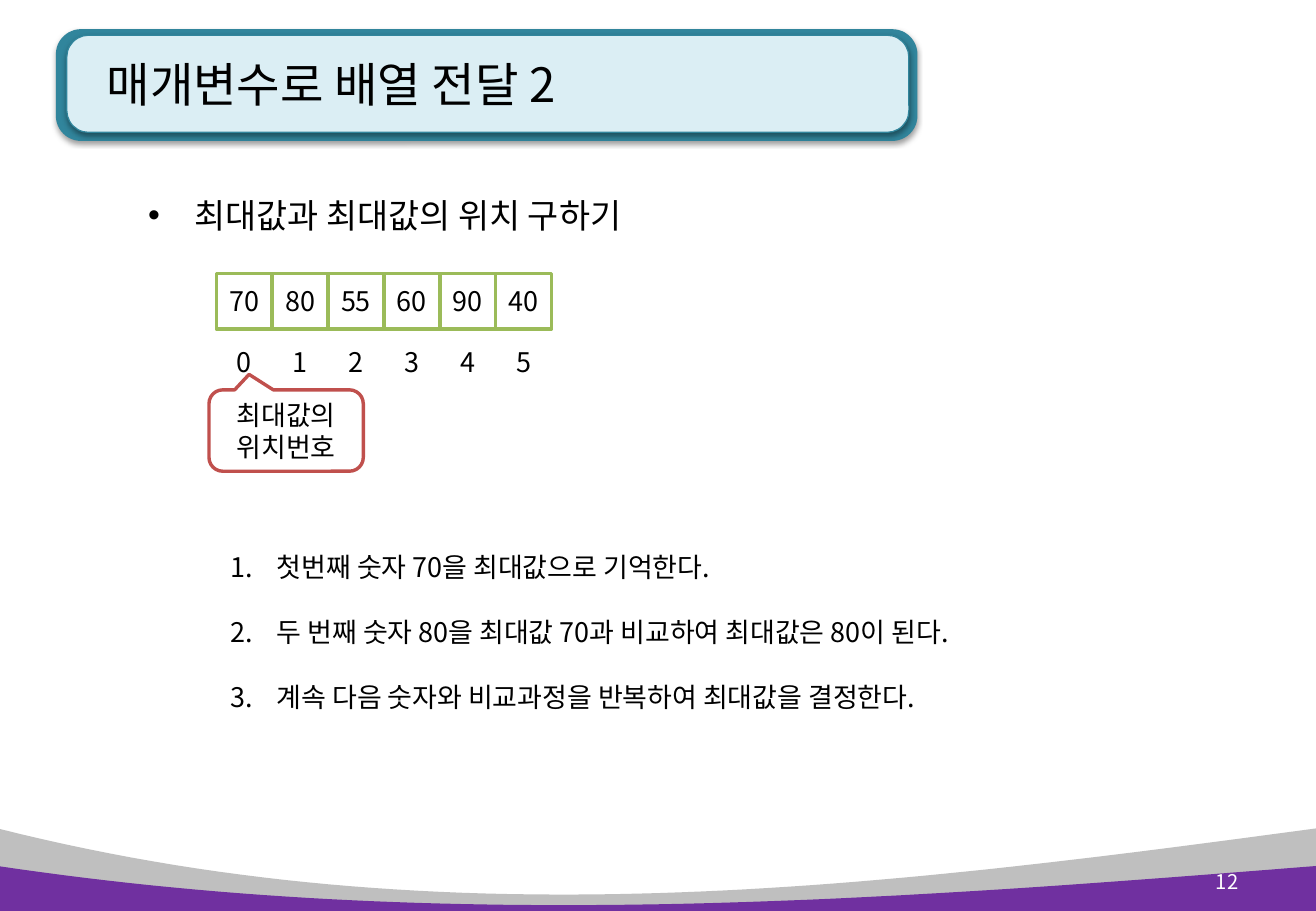
from dataclasses import dataclass

from lxml.etree import SubElement
from pptx import Presentation
from pptx.dml.color import RGBColor
from pptx.enum.shapes import MSO_SHAPE as SHAPE
from pptx.enum.text import MSO_ANCHOR as ANCHOR, PP_ALIGN as ALIGN
from pptx.oxml.ns import qn
from pptx.util import Emu, Pt

PX = 9144  # EMU in one px, 100 px to the inch
WIDTH, HEIGHT = 1083, 750


@dataclass(frozen=True)
class Theme:
    font: str = "Noto Sans CJK KR"
    text: str = "000000"
    white: str = "FFFFFF"
    gray: str = "BFBFBF"
    purple: str = "7030A0"
    teal: str = "31859C"
    pale_teal: str = "DBEEF4"
    green: str = "9BBB59"
    red: str = "C0504D"
    title_pt: int = 28
    heading_pt: int = 20
    body_pt: int = 16
    number_pt: int = 12


THEME = Theme()


def px(*values):
    return [Emu(round(v * PX)) for v in values]


def rgb(color):
    return RGBColor.from_string(color)


def paint(s, fill, line=None, line_pt=2):
    s.shadow.inherit = False
    s.fill.solid()
    s.fill.fore_color.rgb = rgb(fill)
    if line:
        s.line.color.rgb = rgb(line)
        s.line.width = Pt(line_pt)
    else:
        s.line.fill.background()


def add_bullet(p, bullet):
    """Hang the paragraph on a bullet character, or number it if bullet is "1."."""
    pPr = p._p.get_or_add_pPr()
    indent, = px(38)
    pPr.set("marL", str(indent))
    pPr.set("indent", str(-indent))
    if bullet == "1.":
        SubElement(pPr, qn("a:buFont"), typeface=THEME.font)
        SubElement(pPr, qn("a:buAutoNum"), type="arabicPeriod")
    else:
        SubElement(pPr, qn("a:buFont"), typeface="Arial")
        SubElement(pPr, qn("a:buChar"), char=bullet)


def write(s, *lines, size=THEME.body_pt, color=THEME.text, align=ALIGN.LEFT,
          anchor=ANCHOR.MIDDLE, spacing=None, bullet=None):
    tf = s.text_frame
    tf.word_wrap = True
    tf.vertical_anchor = anchor
    for i, line in enumerate(lines):
        p = tf.add_paragraph() if i else tf.paragraphs[0]
        p.alignment = align
        if spacing:
            p.line_spacing = spacing
        if bullet:
            add_bullet(p, bullet)
        r = p.add_run()
        r.text = line
        r.font.size = Pt(size)
        r.font.name = THEME.font
        r.font.color.rgb = rgb(color)
        SubElement(r._r.get_or_add_rPr(), qn("a:ea"), typeface=THEME.font)


def add_text(slide, box, *lines, **fmt):
    write(slide.shapes.add_textbox(*px(*box)), *lines, **fmt)


def add_box(slide, kind, box, fill, line=None, line_pt=2, adj=()):
    s = slide.shapes.add_shape(kind, *px(*box))
    paint(s, fill, line, line_pt)
    for i, value in enumerate(adj):
        s.adjustments[i] = value
    return s


def add_shadow(s):
    effects = s._element.spPr.find(qn("a:effectLst"))
    shadow = SubElement(effects, qn("a:outerShdw"), blurRad=str(Pt(3.1)),
                        dist=str(Pt(1.6)), dir="5400000", rotWithShape="0")
    color = SubElement(shadow, qn("a:srgbClr"), val="000000")
    SubElement(color, qn("a:alpha"), val="38000")


def add_wave(slide, edge_y, dip_ys, fill, steps=60):
    """Fill the slide below a Bezier curve with both ends at edge_y."""
    xs, ys = (-2, 365, 720, WIDTH), (edge_y, *dip_ys, edge_y)

    def bezier(c, t):
        u = 1 - t
        return u**3 * c[0] + 3 * u * u * t * c[1] + 3 * u * t * t * c[2] + t**3 * c[3]

    points = [px(bezier(xs, i / steps), bezier(ys, i / steps)) for i in range(steps + 1)]
    points += [px(xs[-1], HEIGHT), px(xs[0], HEIGHT)]
    fb = slide.shapes.build_freeform(*points[0])
    fb.add_line_segments(points[1:], close=True)
    paint(fb.convert_to_shape(), fill)


def add_title(slide, title):
    plates = (((46, 24, 709, 92), THEME.teal, None),
              ((55, 29, 693, 80), THEME.pale_teal, THEME.teal))
    for box, fill, line in plates:
        add_shadow(add_box(slide, SHAPE.ROUNDED_RECTANGLE, box, fill, line, 0.75, [0.225]))
    add_text(slide, (78, 22, 669, 94), title, size=THEME.title_pt)


def add_cell_row(slide, top, values, line=None):
    left, side = 178, 46
    for i, value in enumerate(values):
        s = add_box(slide, SHAPE.RECTANGLE, (left + i * side, top, side, side),
                    THEME.white, line)
        write(s, str(value), align=ALIGN.CENTER)


def add_callout(slide, box, text):
    s = add_box(slide, SHAPE.ROUNDED_RECTANGULAR_CALLOUT, box, THEME.white, THEME.red,
                adj=(-0.24, -0.69, 0.17))
    write(s, text, align=ALIGN.CENTER)


def main():
    prs = Presentation()
    prs.slide_width, prs.slide_height = px(WIDTH, HEIGHT)
    slide = prs.slides.add_slide(prs.slide_layouts[6])

    add_wave(slide, 682, (775, 731), THEME.gray)
    add_wave(slide, 713, (768, 742), THEME.purple)
    add_title(slide, "매개변수로 배열 전달 2")
    add_text(slide, (968, 706, 61, 40), "12", size=THEME.number_pt,
             color=THEME.white, align=ALIGN.RIGHT)

    add_text(slide, (112, 139, 595, 61), "최대값과 최대값의 위치 구하기",
             size=THEME.heading_pt, anchor=ANCHOR.TOP, spacing=1.5, bullet="•")
    scores = (70, 80, 55, 60, 90, 40)
    add_cell_row(slide, 225, scores, THEME.green)
    add_cell_row(slide, 275, range(len(scores)))
    add_callout(slide, (172, 321, 127, 67), "최대값의 위치번호")
    add_text(slide, (180, 422, 680, 172),
             "첫번째 숫자 70을 최대값으로 기억한다.",
             "두 번째 숫자 80을 최대값 70과 비교하여 최대값은 80이 된다.",
             "계속 다음 숫자와 비교과정을 반복하여 최대값을 결정한다.",
             anchor=ANCHOR.TOP, spacing=2.0, bullet="1.")
    prs.save("out.pptx")


if __name__ == "__main__":
    main()
